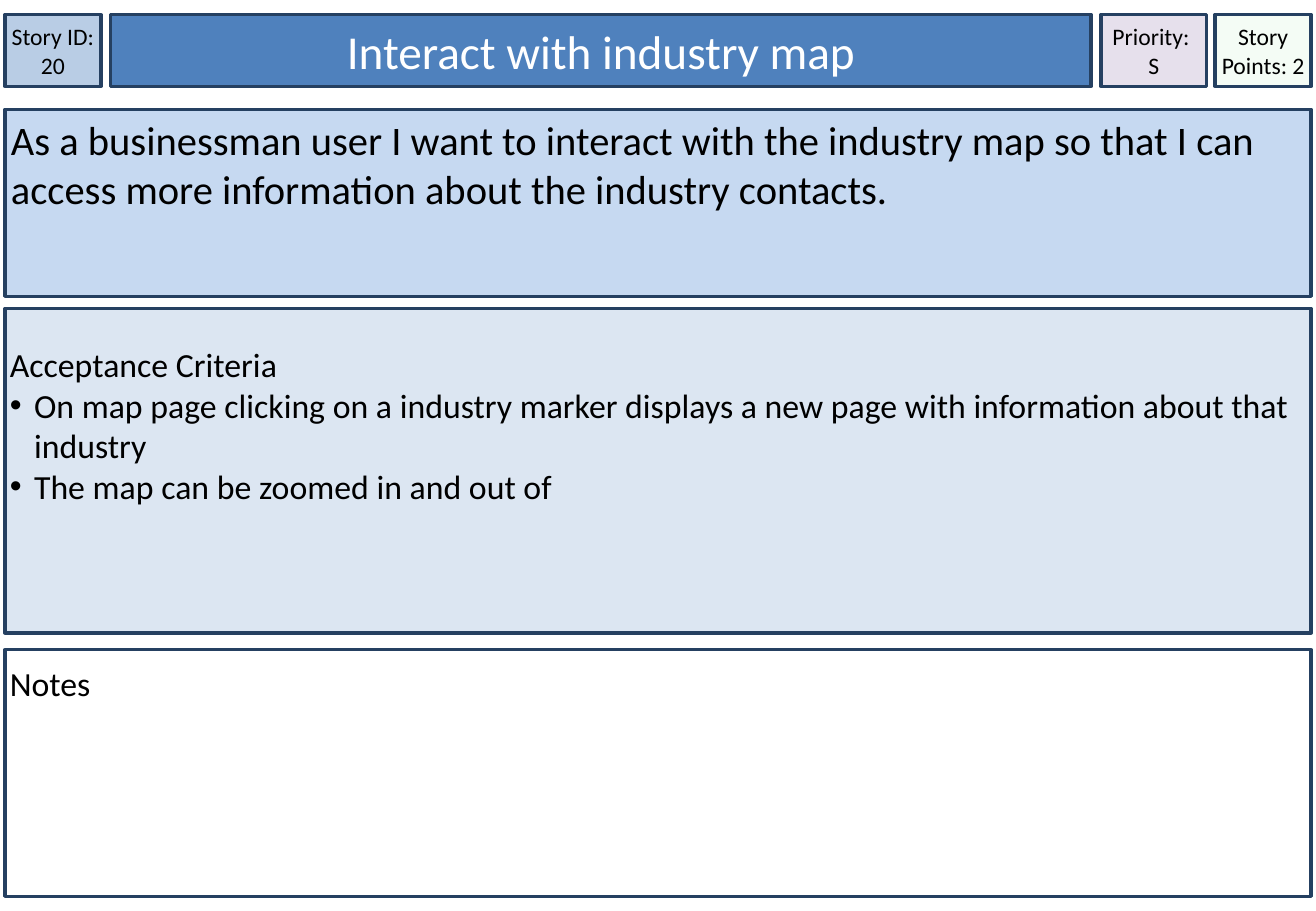
"""Build a user story card: header row, story, acceptance criteria and notes."""
from lxml import etree
from pptx import Presentation
from pptx import util as u
from pptx.dml.color import RGBColor
from pptx.enum import shapes, text
from pptx.oxml.ns import qn

PX = 9144
CENTER, LEFT = text.PP_ALIGN.CENTER, text.PP_ALIGN.LEFT
MIDDLE, TOP = text.MSO_ANCHOR.MIDDLE, text.MSO_ANCHOR.TOP


def color(hex_value):
    return RGBColor.from_string(hex_value)


def style_panel(panel, box, fill, content, size, ink, align, anchor, inset, top_inset):
    panel.left, panel.top, panel.width, panel.height = [n * PX for n in box]
    panel.shadow.inherit = False
    panel.fill.solid()
    panel.fill.fore_color.rgb = color(fill)
    panel.line.color.rgb = color("254061")
    panel.line.width = u.Pt(2)
    frame = panel.text_frame
    frame.text = content
    frame.word_wrap = True
    frame.auto_size = text.MSO_AUTO_SIZE.NONE
    frame.vertical_anchor = anchor
    frame.margin_left = frame.margin_right = frame.margin_bottom = inset * PX
    frame.margin_top = top_inset * PX
    for paragraph in frame.paragraphs:
        paragraph.alignment = align
        paragraph.space_before = u.Pt(0)
        for run in paragraph.runs:
            run.font.name = "Calibri"
            run.font.size = u.Pt(size)
            run.font.color.rgb = color(ink)


prs = Presentation()
prs.slide_width, prs.slide_height = 1083 * PX, 750 * PX
slide = prs.slides.add_slide(prs.slide_layouts[1])
title, criteria = slide.placeholders

style_panel(title, (91, 12, 807, 59), "4F81BD", "Interact with industry map",
            28, "FFFFFF", CENTER, MIDDLE, 5, 5)

criteria_text = "\n".join([
    "Acceptance Criteria",
    "On map page clicking on a industry marker displays a new page with information about that industry",
    "The map can be zoomed in and out of",
])
style_panel(criteria, (4, 254, 1075, 267), "DCE6F2", criteria_text,
            20, "000000", LEFT, TOP, 4, 29)
heading, *items = criteria.text_frame.paragraphs
heading_props = heading._p.get_or_add_pPr()
heading_props.set("marL", "0")
heading_props.set("indent", "0")
etree.SubElement(heading_props, qn("a:buNone"))
for item in items:
    item_props = item._p.get_or_add_pPr()
    item_props.set("marL", str(20 * PX))
    item_props.set("indent", str(-20 * PX))
    etree.SubElement(item_props, qn("a:buFont"), typeface="Arial")
    etree.SubElement(item_props, qn("a:buChar"), char="•")

story = ("As a businessman user I want to interact with the industry map "
         "so that I can access more information about the industry contacts.")
panels = [
    ((4, 12, 79, 59), "B9CDE5", "Story ID: 20", 14, CENTER, MIDDLE, 0, 0),
    ((906, 12, 87, 59), "E6E0EC", "Priority: \nS", 14, CENTER, MIDDLE, 0, 0),
    ((4, 90, 1075, 154), "C6D9F1", story, 24, LEFT, TOP, 5, 5),
    ((4, 535, 1075, 203), "FFFFFF", "Notes", 20, LEFT, TOP, 4, 11),
    ((1000, 12, 79, 59), "CCF0CD", "Story Points: 2", 14, CENTER, MIDDLE, 0, 0),
]
for box, fill, content, size, align, anchor, inset, top_inset in panels:
    panel = slide.shapes.add_shape(shapes.MSO_SHAPE.RECTANGLE, 0, 0, PX, PX)
    style_panel(panel, box, fill, content, size, "000000", align, anchor, inset, top_inset)

story_points = panel
points_fill = story_points._element.spPr.find(qn("a:solidFill")).find(qn("a:srgbClr"))
etree.SubElement(points_fill, qn("a:alpha"), val="20000")

prs.save("out.pptx")
